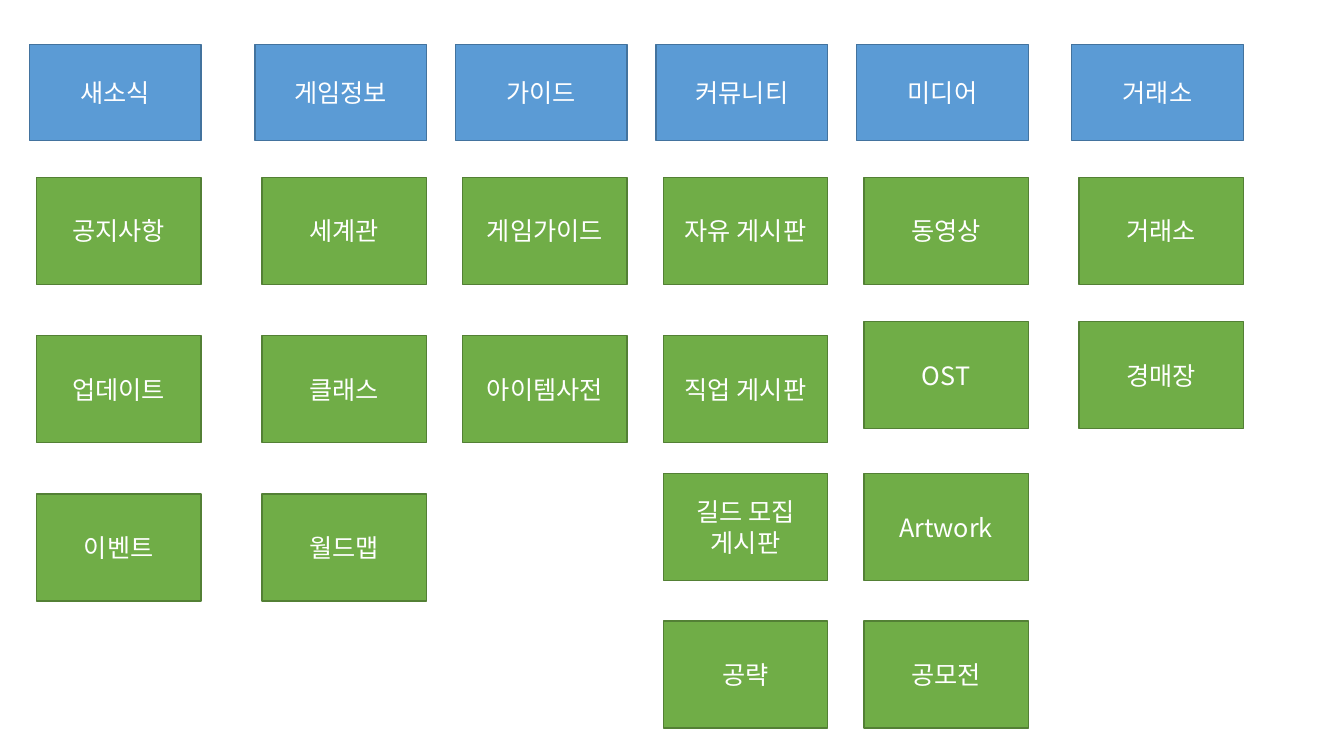
from lxml import etree
from pptx import Presentation
from pptx.dml.color import RGBColor
from pptx.enum.shapes import MSO_SHAPE
from pptx.enum.text import MSO_ANCHOR, PP_ALIGN
from pptx.oxml.ns import qn
from pptx.util import Pt

RECTANGLE = MSO_SHAPE.RECTANGLE
MIDDLE = MSO_ANCHOR.MIDDLE
CENTER = PP_ALIGN.CENTER

FONT = "Noto Sans CJK KR"
MENU_COLORS = ("5B9BD5", "43739E")
ITEM_COLORS = ("70AD47", "538035")
MENU_TOP, MENU_WIDTH, MENU_HEIGHT = 31.6, 122.6, 68.6
ITEM_WIDTH, ITEM_HEIGHT = 117.4, 76.4


def color(hex_string):
    return RGBColor.from_string(hex_string)


def add_box(page, label, left, top, width, height, colors):
    box = page.shapes.add_shape(RECTANGLE, Pt(left), Pt(top), Pt(width), Pt(height))
    fill, line = colors
    box.shadow.inherit = False
    box.fill.solid()
    box.fill.fore_color.rgb = color(fill)
    box.line.color.rgb = color(line)
    box.line.width = Pt(1)

    frame = box.text_frame
    frame.word_wrap = True
    frame.vertical_anchor = MIDDLE
    para = frame.paragraphs[0]
    para.alignment = CENTER
    span = para.add_run()
    span.text = label
    span.font.size = Pt(18)
    span.font.color.rgb = color("FFFFFF")
    span.font.name = FONT
    # Korean glyphs use the East Asian typeface
    etree.SubElement(span.font._element, qn("a:ea"), typeface=FONT)


deck = Presentation()
deck.slide_width, deck.slide_height = Pt(960), Pt(540)
page = deck.slides.add_slide(deck.slide_layouts[6])

# Row tops: an even rhythm, and a tighter one for the longer menus
even_tops = [126.7 + 113.1 * row for row in range(3)]
board_tops = [*even_tops[:2], 338.2, 443.6]
media_tops = [even_tops[0], 229.8, *board_tops[2:]]

# The middle four menus share one pitch; the outer two stand apart
middle_lefts = [182 + 143.3 * column for column in range(4)]
menu_lefts = [20.9, *middle_lefts, 765.5]

menus = [
    ("새소식", even_tops, ["공지사항", "업데이트", "이벤트"]),
    ("게임정보", even_tops, ["세계관", "클래스", "월드맵"]),
    ("가이드", even_tops, ["게임가이드", "아이템사전"]),
    ("커뮤니티", board_tops, ["자유 게시판", "직업 게시판", "길드 모집 게시판", "공략"]),
    ("미디어", media_tops, ["동영상", "OST", "Artwork", "공모전"]),
    ("거래소", media_tops, ["거래소", "경매장"]),
]

# Each menu with its items, aligned on their right edges
for left, (menu, tops, items) in zip(menu_lefts, menus):
    add_box(page, menu, left, MENU_TOP, MENU_WIDTH, MENU_HEIGHT, MENU_COLORS)
    item_left = left + MENU_WIDTH - ITEM_WIDTH
    for top, item in zip(tops, items):
        add_box(page, item, item_left, top, ITEM_WIDTH, ITEM_HEIGHT, ITEM_COLORS)

deck.save("out.pptx")
